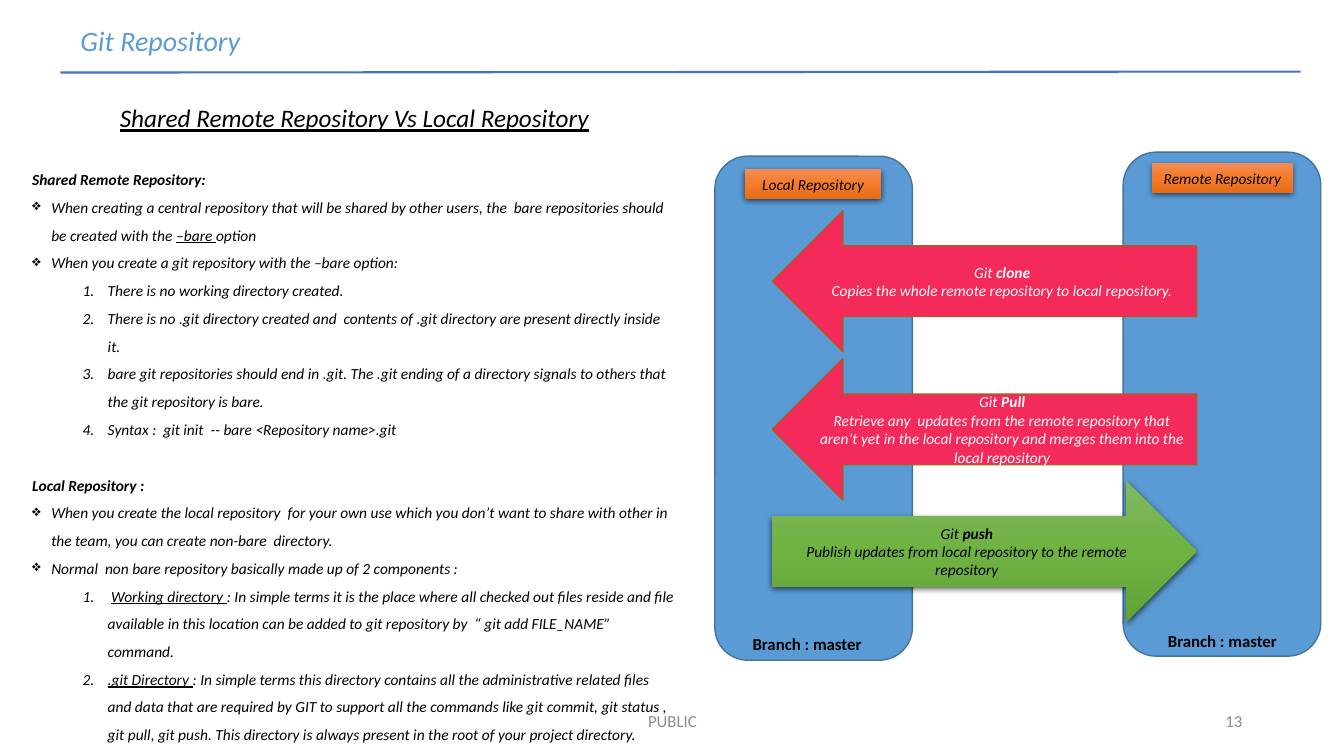
from lxml.etree import SubElement
from pptx import Presentation
from pptx.dml.color import RGBColor
from pptx.enum.shapes import MSO_CONNECTOR, MSO_SHAPE
from pptx.enum.text import MSO_ANCHOR, PP_ALIGN
from pptx.oxml import parse_xml
from pptx.oxml.ns import nsdecls, qn
from pptx.util import Inches, Pt

BLACK = RGBColor(0x00, 0x00, 0x00)
WHITE = RGBColor(0xFF, 0xFF, 0xFF)
GREY = RGBColor(0x8C, 0x8C, 0x8C)
BLUE = RGBColor(0x5B, 0x9B, 0xD5)
DARK_BLUE = RGBColor(0x43, 0x73, 0x9E)
RULE_BLUE = RGBColor(0x44, 0x72, 0xC4)
PINK = RGBColor(0xF4, 0x2A, 0x5A)
BROWN = RGBColor(0xAF, 0x5C, 0x24)
ORANGES = [RGBColor(0xF1, 0x8C, 0x57), RGBColor(0xF6, 0x7B, 0x28), RGBColor(0xE5, 0x6C, 0x19)]
GREENS = [RGBColor(0x81, 0xB8, 0x61), RGBColor(0x6F, 0xB2, 0x42), RGBColor(0x62, 0xA3, 0x36)]

SOFT_SHADOW = (
    f'<a:effectLst {nsdecls("a")}><a:outerShdw blurRad="57150" dist="19050" dir="5400000" '
    'algn="ctr" rotWithShape="0"><a:srgbClr val="000000"><a:alpha val="63000"/></a:srgbClr>'
    '</a:outerShdw></a:effectLst>')


def add_text(paragraph, text, font="Calibri", size=11, color=BLACK,
             bold=False, italic=False, underline=False):
    run = paragraph.add_run()
    run.text = text
    run.font.name = font
    run.font.size = Pt(size)
    run.font.color.rgb = color
    run.font.bold = bold
    run.font.italic = italic
    run.font.underline = underline


class SlideBuilder:
    def __init__(self, slide):
        self.slide = slide

    def text_box(self, box, anchor=MSO_ANCHOR.TOP):
        frame = self.slide.shapes.add_textbox(*map(Inches, box)).text_frame
        frame.word_wrap = True
        frame.vertical_anchor = anchor
        return frame

    def label(self, text, box, align=PP_ALIGN.CENTER, anchor=MSO_ANCHOR.TOP, **style):
        paragraph = self.text_box(box, anchor).paragraphs[0]
        paragraph.alignment = align
        add_text(paragraph, text, **style)

    def rule(self, start, end, color, width):
        line = self.slide.shapes.add_connector(
            MSO_CONNECTOR.STRAIGHT, *map(Inches, start + end))
        line.line.color.rgb = color
        line.line.width = Pt(width)
        SubElement(line._element.spPr, qn("a:effectLst"))

    def shape(self, kind, box, fill, outline=None, lines=(), color=BLACK):
        """A list as fill is a vertical gradient with a soft shadow."""
        shape = self.slide.shapes.add_shape(kind, *map(Inches, box))
        shape.shadow.inherit = False
        if outline:
            shape.line.color.rgb = outline
            shape.line.width = Pt(1)
        else:
            shape.line.fill.background()
        if isinstance(fill, list):
            self.gradient(shape, fill)
        else:
            shape.fill.solid()
            shape.fill.fore_color.rgb = fill
        frame = shape.text_frame
        frame.word_wrap = True
        frame.vertical_anchor = MSO_ANCHOR.MIDDLE
        for index, pieces in enumerate(lines):
            paragraph = frame.add_paragraph() if index else frame.paragraphs[0]
            paragraph.alignment = PP_ALIGN.CENTER
            for text, bold in pieces:
                add_text(paragraph, text, color=color, bold=bold, italic=True)

    def gradient(self, shape, colors):
        stops = "".join(
            f'<a:gs pos="{index * 50000}"><a:srgbClr val="{color}"/></a:gs>'
            for index, color in enumerate(colors))
        properties = shape._element.spPr
        properties.find(qn("a:prstGeom")).addnext(parse_xml(
            f'<a:gradFill {nsdecls("a")} rotWithShape="1"><a:gsLst>{stops}</a:gsLst>'
            '<a:lin ang="5400000" scaled="0"/></a:gradFill>'))
        properties.replace(properties.find(qn("a:effectLst")), parse_xml(SOFT_SHADOW))

    def outline_text(self, box, paragraphs):
        """Each entry is a kind and its text pieces; a piece is (text, underlined)."""
        frame = self.text_box(box)
        for index, (kind, pieces) in enumerate(paragraphs):
            paragraph = frame.add_paragraph() if index else frame.paragraphs[0]
            paragraph.line_spacing = 1.5
            if kind == "title":
                paragraph.alignment = PP_ALIGN.CENTER
            elif kind == "heading":
                paragraph.space_before = Pt(20)
            elif kind == "bullet":
                self.bullet(paragraph, 0.19, 0.19, "a:buChar", char="❖")
            else:
                paragraph.level = 1
                self.bullet(paragraph, 0.75, 0.25, "a:buAutoNum", type="arabicPeriod")
            for text, underline in pieces:
                add_text(paragraph, text, size=18 if kind == "title" else 11,
                         bold=kind == "heading", italic=True, underline=underline)

    def bullet(self, paragraph, margin, hanging, tag, **attributes):
        properties = paragraph._p.get_or_add_pPr()
        properties.set("marL", str(Inches(margin)))
        properties.set("indent", str(-Inches(hanging)))
        SubElement(properties, qn(tag), attributes)


NOTES = [
    ("title", [("Shared Remote Repository Vs Local Repository", True)]),
    ("heading", [("Shared Remote Repository:", False)]),
    ("bullet", [("When creating a central repository that will be shared by other users, the  "
                 "bare repositories should be created with the ", False),
                ("–bare ", True), ("option", False)]),
    ("bullet", [("When you create a git repository with the –bare option:", False)]),
    ("number", [("There is no working directory created.", False)]),
    ("number", [("There is no .git directory created and  contents of .git directory "
                 "are present directly inside it.", False)]),
    ("number", [("bare git repositories should end in .git. The .git ending of a directory "
                 "signals to others that the git repository is bare.", False)]),
    ("number", [("Syntax :  git init  -- bare <Repository name>.git", False)]),
    ("heading", [("Local Repository :", False)]),
    ("bullet", [("When you create the local repository  for your own use which you don’t want "
                 "to share with other in the team, you can create non-bare  directory.", False)]),
    ("bullet", [("Normal  non bare repository basically made up of 2 components :", False)]),
    ("number", [(" ", False), ("Working directory ", True),
                (": In simple terms it is the place where all checked out files reside and file "
                 "available in this location can be added to git repository by  "
                 "“ git add FILE_NAME” command.", False)]),
    ("number", [(".git Directory ", True),
                (": In simple terms this directory contains all the administrative related files "
                 "and data that are required by GIT to support all the commands like git commit, "
                 "git status , git pull, git push. This directory is always present in the root "
                 "of your project directory.", False)]),
]

# Name, column box, name plate box, branch label box
REPOSITORIES = [
    ("Local Repository", (7.09, 1.55, 1.96, 5), (7.39, 1.68, 1.35, 0.29), (7.24, 6.24, 1.53, 0.3)),
    ("Remote Repository", (11.14, 1.51, 1.96, 5), (11.43, 1.62, 1.39, 0.29), (11.36, 6.21, 1.53, 0.3)),
]

# Command, explanation, top, arrow kind, fill, outline, text colour
COMMANDS = [
    ("clone", "Copies the whole remote repository to local repository.",
     2.09, MSO_SHAPE.LEFT_ARROW, PINK, BROWN, WHITE),
    ("Pull", "Retrieve any  updates from the remote repository that aren’t yet in the local "
     "repository and merges them into the local repository",
     3.56, MSO_SHAPE.LEFT_ARROW, PINK, BROWN, WHITE),
    ("push", "Publish updates from local repository to the remote repository",
     4.77, MSO_SHAPE.RIGHT_ARROW, GREENS, None, BLACK),
]


def main():
    presentation = Presentation()
    presentation.slide_width = Inches(13.33)
    presentation.slide_height = Inches(7.5)
    builder = SlideBuilder(presentation.slides.add_slide(presentation.slide_layouts[6]))

    # Header and footer
    builder.label("Git Repository", (0.7, 0.18, 12.4, 0.44), PP_ALIGN.LEFT,
                  size=20, color=BLUE, italic=True)
    builder.rule((0.6, 0.72), (12.9, 0.71), RULE_BLUE, 1.5)
    builder.label("PUBLIC", (4.42, 6.95, 4.5, 0.4), anchor=MSO_ANCHOR.MIDDLE, size=12, color=GREY)
    builder.label("13", (9.42, 6.95, 3, 0.4), PP_ALIGN.RIGHT, MSO_ANCHOR.MIDDLE,
                  size=12, color=GREY)

    # Explanation on the left
    builder.outline_text((0.22, 0.82, 6.59, 6.39), NOTES)

    # Repository columns
    for name, column, plate, branch in REPOSITORIES:
        builder.shape(MSO_SHAPE.ROUNDED_RECTANGLE, column, BLUE, DARK_BLUE)
        builder.shape(MSO_SHAPE.RECTANGLE, plate, ORANGES, lines=[[(name, False)]])
        builder.label("Branch : master", branch, size=12, bold=True)

    # Command arrows between the columns
    for command, explanation, top, kind, fill, outline, color in COMMANDS:
        builder.shape(kind, (7.66, top, 4.21, 1.4), fill, outline,
                      [[("Git ", False), (command, True)], [(explanation, False)]], color)

    presentation.save("out.pptx")


if __name__ == "__main__":
    main()
